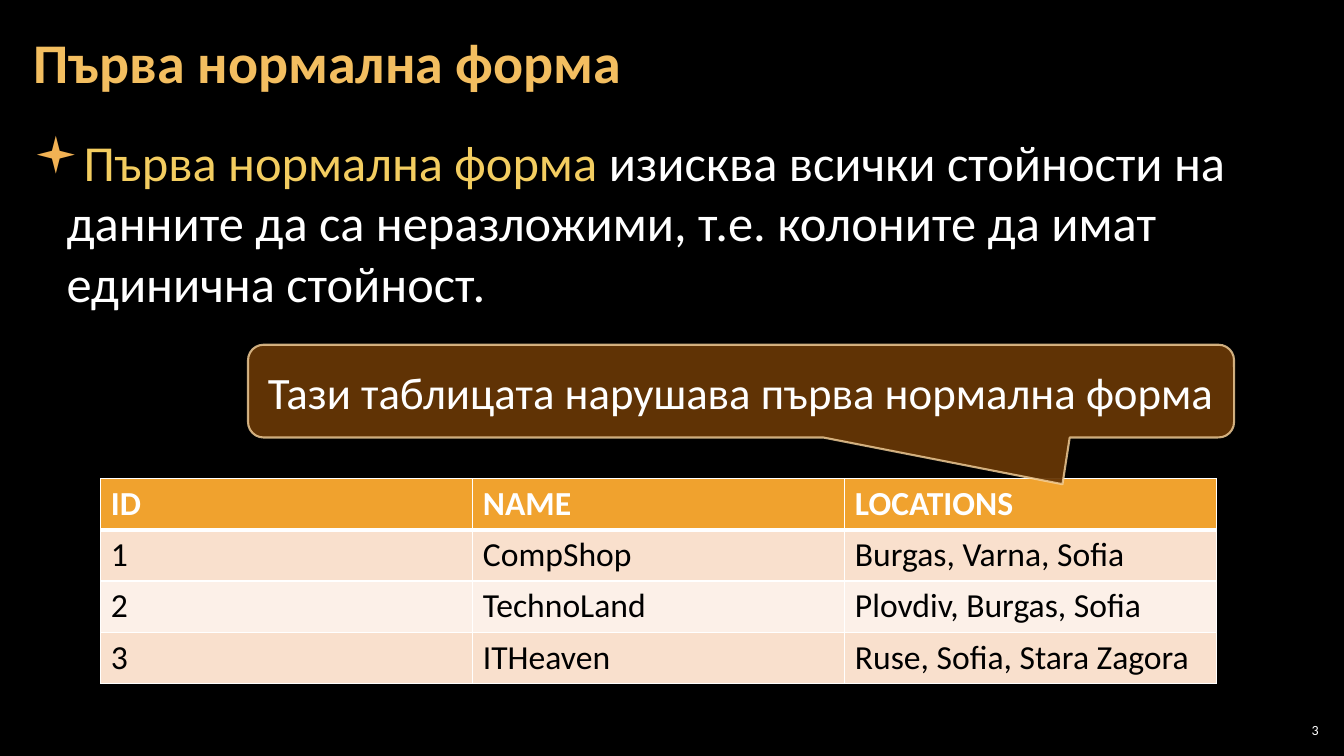
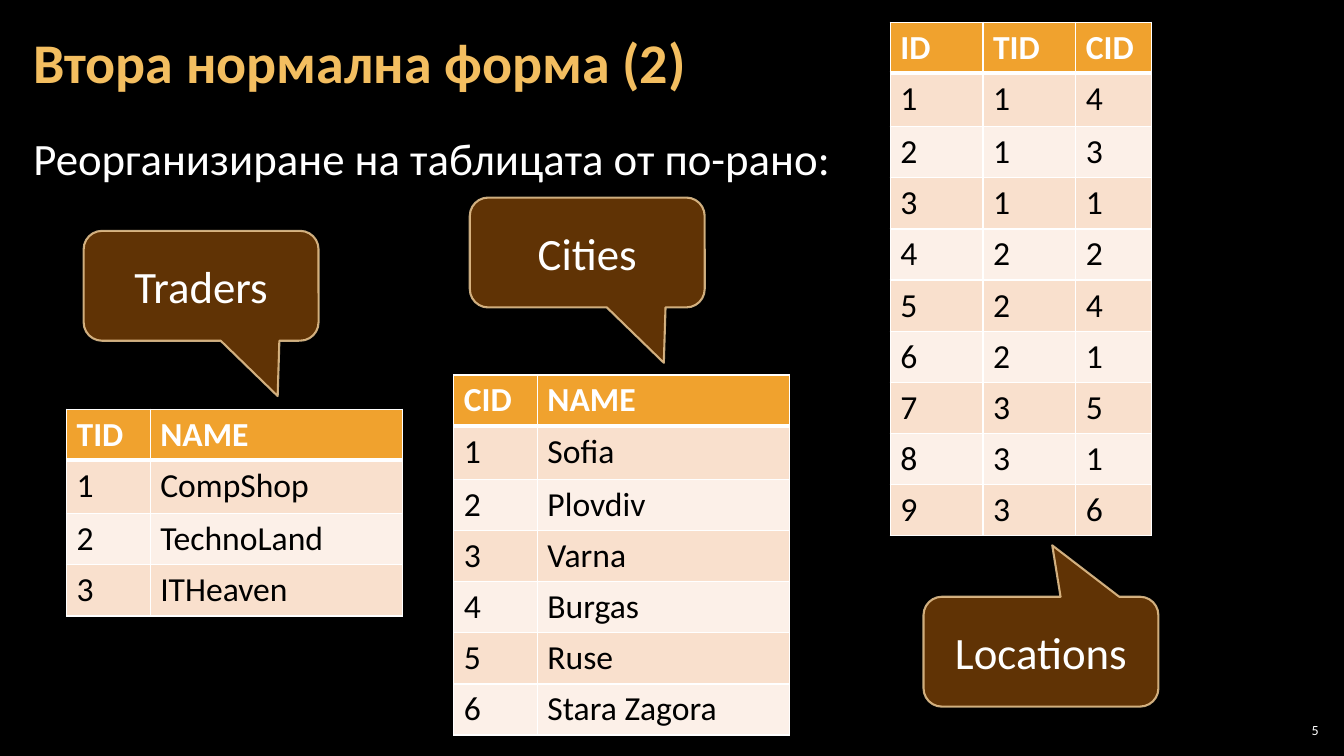
"""Build two slides on first and second normal form."""
from dataclasses import dataclass

from lxml.etree import SubElement
from pptx import Presentation
from pptx.dml.color import RGBColor
from pptx.enum.shapes import MSO_SHAPE
from pptx.enum.text import MSO_ANCHOR, MSO_AUTO_SIZE, PP_ALIGN
from pptx.oxml.ns import qn
from pptx.util import Inches, Pt


@dataclass(frozen=True)
class Theme:
    font: str = "Calibri"
    background: str = "000000"
    title: str = "F3BE60"
    highlight: str = "F3CD60"
    bullet: str = "F2B254"
    light: str = "FFFFFF"
    dark: str = "000000"
    header: str = "F0A22E"
    bands: tuple = ("F9E0CD", "FCF0E8")
    callout: str = "663606"
    callout_line: str = "F8D49E"
    title_size: int = 40
    lead_size: int = 36
    text_size: int = 32
    table_size: int = 24
    number_size: int = 10


THEME = Theme()
ROW_HEIGHT = 0.5
FIRST_ROW_HEIGHT = 0.53
TITLE_BOX = (0.21, 0.04, 12.91, 1.21)
NUMBER_BOX = (12.65, 7.14, 0.47, 0.21)
BODY_INSETS = (0.12, 0.04, 0.12, 0.04)
NUMBER_INSETS = (0.04,) * 4
TIP_BELOW = (0.326, 1.004)
TIP_ABOVE = (0.048, -0.968)

SLIDES = [
    {
        "title": "Първа нормална форма",
        "number": "3",
        "body": {
            "box": (0.21, 1.26, 12.91, 2.16),
            "size": THEME.lead_size,
            "bullet": "▪",
            "runs": [
                ("Първа нормална форма ", THEME.highlight),
                ("изисква всички стойности на данните да са неразложими, "
                 "т.е. колоните да имат единична стойност.", THEME.light),
            ],
        },
        "tables": [
            {
                "at": (1, 4.75),
                "columns": (3.69, 3.69, 3.69),
                "first_row": ROW_HEIGHT,
                "rows": [
                    ("ID", "NAME", "LOCATIONS"),
                    ("1", "CompShop", "Burgas, Varna, Sofia"),
                    ("2", "TechnoLand", "Plovdiv, Burgas, Sofia"),
                    ("3", "ITHeaven", "Ruse, Sofia, Stara Zagora"),
                ],
                "callout": ("Тази таблицата нарушава първа нормална форма",
                            (2.46, 3.42, 9.78, 0.92), TIP_BELOW),
            },
        ],
    },
    {
        "title": "Втора нормална форма (2)",
        "number": "5",
        "body": {
            "box": (0.21, 1.26, 12.91, 0.91),
            "size": THEME.text_size,
            "bullet": None,
            "runs": [("Реорганизиране на таблицата от по-рано:", THEME.light)],
        },
        "tables": [
            {
                "at": (0.66, 4.06),
                "columns": (0.83, 2.5),
                "first_row": FIRST_ROW_HEIGHT,
                "rows": [("TID", "NAME"), ("1", "CompShop"),
                         ("2", "TechnoLand"), ("3", "ITHeaven")],
                "callout": ("Traders", (0.83, 2.29, 2.33, 1.09), TIP_BELOW),
            },
            {
                "at": (4.5, 3.72),
                "columns": (0.83, 2.5),
                "first_row": FIRST_ROW_HEIGHT,
                "rows": [("CID", "NAME"), ("1", "Sofia"), ("2", "Plovdiv"),
                         ("3", "Varna"), ("4", "Burgas"), ("5", "Ruse"),
                         ("6", "Stara Zagora")],
                "callout": ("Cities", (4.66, 1.96, 2.33, 1.09), TIP_BELOW),
            },
            {
                "at": (8.83, 0.22),
                "columns": (0.92, 0.92, 0.75),
                "first_row": FIRST_ROW_HEIGHT,
                "rows": [("ID", "TID", "CID"), ("1", "1", "4"),
                         ("2", "1", "3"), ("3", "1", "1"), ("4", "2", "2"),
                         ("5", "2", "4"), ("6", "2", "1"), ("7", "3", "5"),
                         ("8", "3", "1"), ("9", "3", "6")],
                "callout": ("Locations", (9.16, 5.92, 2.33, 1.09), TIP_ABOVE),
            },
        ],
    },
]


def inches(values):
    return [Inches(value) for value in values]


def paint(fill, color, opacity=None):
    fill.solid()
    fill.fore_color.rgb = RGBColor.from_string(color)
    if opacity is not None:
        for tint in fill._xPr.iter(qn("a:srgbClr")):
            SubElement(tint, qn("a:alpha"), val=str(opacity * 1000))


def set_bullet(paragraph, mark):
    properties = paragraph._p.get_or_add_pPr()
    properties.set("marL", str(Inches(0.33)))
    properties.set("indent", str(-Inches(0.33)))
    color = SubElement(properties, qn("a:buClr"))
    SubElement(color, qn("a:srgbClr"), val=THEME.bullet)
    SubElement(properties, qn("a:buFont"), typeface="Wingdings")
    SubElement(properties, qn("a:buChar"), char=mark)


def write(frame, text, *, size, color=THEME.light, bold=False,
          align=PP_ALIGN.LEFT, anchor=MSO_ANCHOR.TOP, insets=None,
          line_spacing=None, space_after=None, bullet=None):
    frame.word_wrap = True
    frame.auto_size = MSO_AUTO_SIZE.NONE
    frame.vertical_anchor = anchor
    if insets:
        (frame.margin_left, frame.margin_top,
         frame.margin_right, frame.margin_bottom) = inches(insets)
    paragraph = frame.paragraphs[0]
    if bullet:
        set_bullet(paragraph, bullet)
    paragraph.alignment = align
    if line_spacing:
        paragraph.line_spacing = line_spacing
    if space_after:
        paragraph.space_after = Pt(space_after)
    runs = [(text, color)] if isinstance(text, str) else text
    for words, tint in runs:
        run = paragraph.add_run()
        run.text = words
        run.font.name = THEME.font
        run.font.size = Pt(size)
        run.font.bold = bold
        run.font.color.rgb = RGBColor.from_string(tint)


def set_borders(cell, row):
    properties = cell._tc.get_or_add_tcPr()
    widths = {"lnL": 1, "lnR": 1, "lnT": 3 if row == 1 else 1,
              "lnB": 3 if row == 0 else 1}
    for side, width in widths.items():
        border = SubElement(properties, qn(f"a:{side}"), w=str(Pt(width)))
        fill = SubElement(border, qn("a:solidFill"))
        SubElement(fill, qn("a:srgbClr"), val=THEME.light)


def add_data_table(slide, content):
    rows, columns = content["rows"], content["columns"]
    heights = [ROW_HEIGHT] * len(rows)
    heights[1] = content["first_row"]
    frame = slide.shapes.add_table(
        len(rows), len(columns),
        *inches((*content["at"], sum(columns), sum(heights))))
    table = frame.table
    table.horz_banding = False
    for column, width in zip(table.columns, columns):
        column.width = Inches(width)
    for index, (height, values) in enumerate(zip(heights, rows)):
        table.rows[index].height = Inches(height)
        is_header = index == 0
        band = THEME.header if is_header else THEME.bands[(index - 1) % 2]
        for position, value in enumerate(values):
            cell = table.cell(index, position)
            set_borders(cell, index)
            paint(cell.fill, band)
            write(cell.text_frame, value, size=THEME.table_size,
                  color=THEME.light if is_header else THEME.dark,
                  bold=is_header)


def add_callout(slide, label, box, tip):
    callout = slide.shapes.add_shape(
        MSO_SHAPE.ROUNDED_RECTANGULAR_CALLOUT, *inches(box))
    callout.shadow.inherit = False
    for index, value in enumerate((*tip, 0.167)):
        callout.adjustments[index] = value
    paint(callout.fill, THEME.callout, opacity=95)
    callout.line.width = Pt(1.5)
    paint(callout.line.fill, THEME.callout_line, opacity=80)
    write(callout.text_frame, label, size=THEME.text_size,
          align=PP_ALIGN.CENTER, anchor=MSO_ANCHOR.MIDDLE)


def add_slide(deck, content):
    slide = deck.slides.add_slide(deck.slide_layouts[5])
    title = slide.shapes.title
    title.left, title.top, title.width, title.height = inches(TITLE_BOX)
    write(title.text_frame, content["title"], size=THEME.title_size,
          color=THEME.title, bold=True, anchor=MSO_ANCHOR.MIDDLE,
          insets=BODY_INSETS, line_spacing=0.9)
    body = content["body"]
    body_box = slide.shapes.add_textbox(*inches(body["box"]))
    write(body_box.text_frame, body["runs"], size=body["size"],
          insets=BODY_INSETS, space_after=6, bullet=body["bullet"])
    for table in content["tables"]:
        add_data_table(slide, table)
        add_callout(slide, *table["callout"])
    number_box = slide.shapes.add_textbox(*inches(NUMBER_BOX))
    write(number_box.text_frame, content["number"], size=THEME.number_size,
          align=PP_ALIGN.RIGHT, anchor=MSO_ANCHOR.MIDDLE,
          insets=NUMBER_INSETS)


def main():
    deck = Presentation()
    deck.slide_width, deck.slide_height = inches((13.33, 7.5))
    paint(deck.slide_master.background.fill, THEME.background)
    for content in SLIDES:
        add_slide(deck, content)
    deck.save("out.pptx")


if __name__ == "__main__":
    main()
